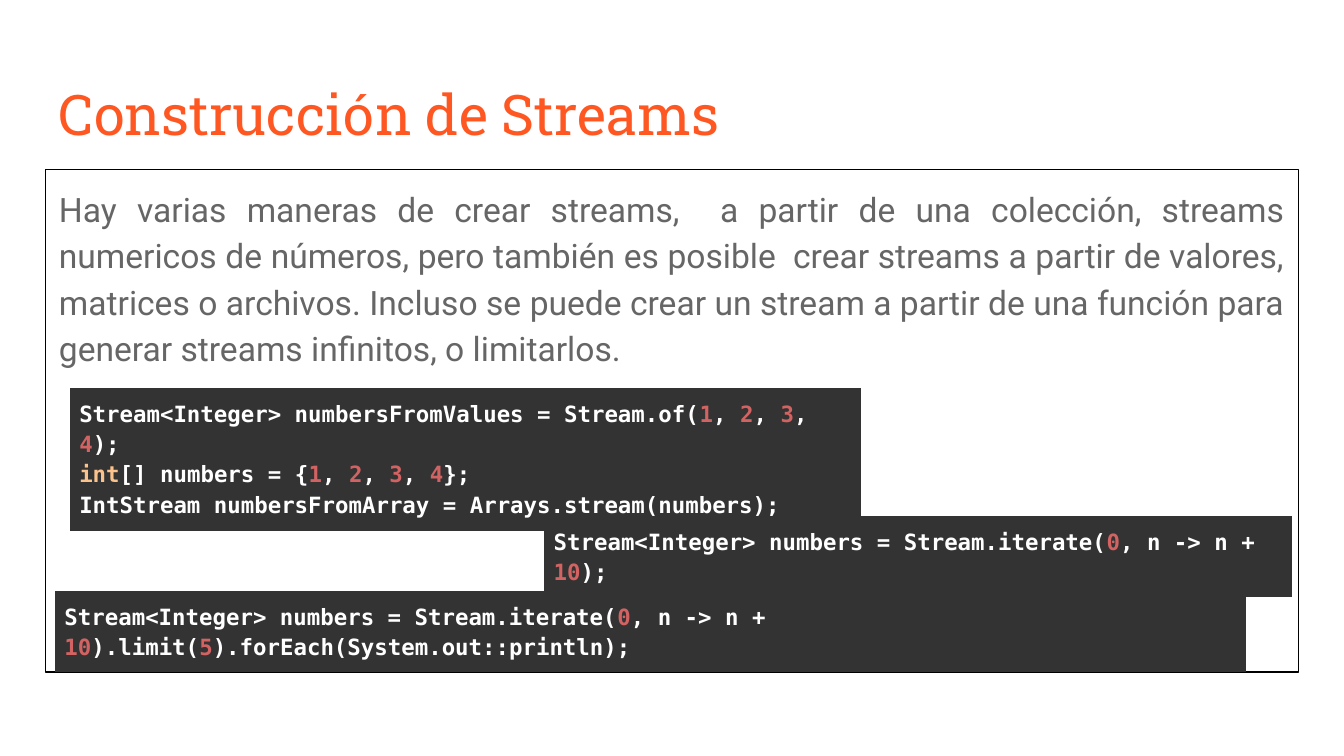
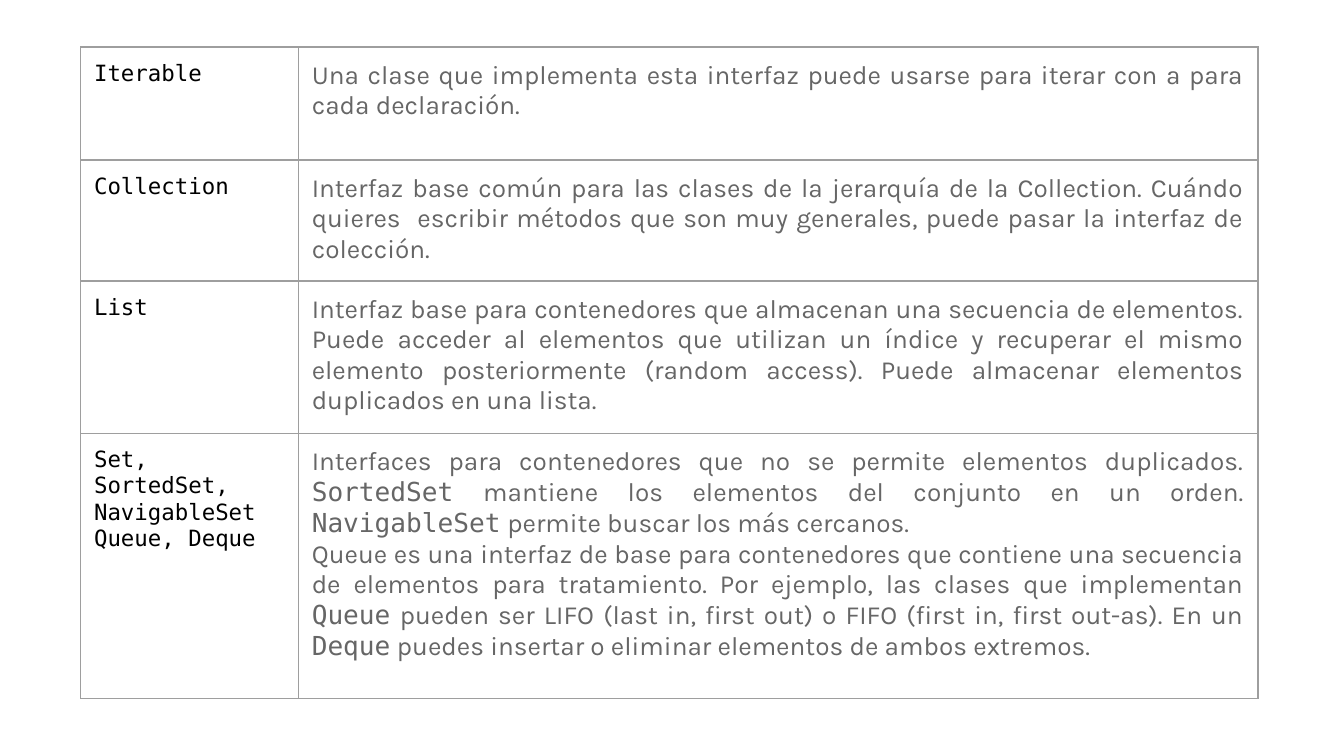
"""Build two slides on Java streams and collection interfaces."""
from dataclasses import dataclass
from itertools import groupby

from lxml import etree
from pptx import Presentation
from pptx import util as u
from pptx.dml.color import RGBColor
from pptx.enum import shapes, text
from pptx.oxml import ns

ORANGE, GRAY, BLACK, WHITE = "FF5722", "666666", "000000", "FFFFFF"
CODE_FILL, NUMBER, KEYWORD, GRID = "333333", "D36363", "FCC28C", "9E9E9E"
SERIF, SANS, MONO, READING = "Roboto Slab", "Roboto", "DejaVu Sans Mono", "Karla"
KEYWORDS = {"int"}
TABLE_FRAME = u.Inches(3.28)


@dataclass(frozen=True)
class Style:
    """Typeface, size, colour and paragraph settings."""
    font: str
    size: float
    color: str
    bold: bool = False
    justify: bool = False
    spacing: float | None = None


@dataclass(frozen=True)
class CellStyle:
    """Border, margin and fill of a table cell."""
    border: str
    margin: float
    fill: str = ""
    clear_border: bool = False


@dataclass(frozen=True)
class CodeBlock:
    """A dark single-cell panel of code."""
    left: float
    top: float
    width: float
    height: float
    lines: tuple[str, ...]


@dataclass(frozen=True)
class Entry:
    """An interface row, with code terms between backticks."""
    height: float
    names: tuple[str, ...]
    description: tuple[str, ...]


TITLE = Style(SERIF, 30, ORANGE)
BODY = Style(SANS, 18, GRAY, justify=True, spacing=1.15)
CODE = Style(MONO, 12, WHITE, bold=True, spacing=1.15)
NAME = Style(MONO, 12, BLACK)
DESCRIPTION = Style(READING, 14, GRAY, justify=True)
CODE_CELL = CellStyle(BLACK, 0.07, CODE_FILL, clear_border=True)
GRID_CELL = CellStyle(GRID, 0.1)

INTRO = (
    "Hay varias maneras de crear streams,  a partir de una colección, streams numericos "
    "de números, pero también es posible  crear streams a partir de valores, matrices o "
    "archivos. Incluso se puede crear un stream a partir de una función para generar "
    "streams infinitos, o limitarlos."
)

CODE_BLOCKS = (
    CodeBlock(0.52, 2.89, 5.89, 0.85, (
        "Stream<Integer> numbersFromValues = Stream.of(1, 2, 3, 4); ",
        "int[] numbers = {1, 2, 3, 4}; ",
        "IntStream numbersFromArray = Arrays.stream(numbers);",
    )),
    CodeBlock(4.05, 3.84, 5.56, 0.37, (
        "Stream<Integer> numbers = Stream.iterate(0, n -> n + 10);",
    )),
    CodeBlock(0.41, 4.4, 8.86, 0.47, (
        "Stream<Integer> numbers = Stream.iterate(0, n -> n + 10)"
        ".limit(5).forEach(System.out::println);",
    )),
)

ENTRIES = (
    Entry(0.84, ("Iterable",), (
        "Una clase que implementa esta interfaz puede usarse para iterar con a para "
        "cada declaración.",
    )),
    Entry(0.86, ("Collection",), (
        "Interfaz base común para las clases de la jerarquía de la Collection. Cuándo "
        "quieres  escribir métodos que son muy generales, puede pasar la interfaz de "
        "colección.",
    )),
    Entry(1.08, ("List",), (
        "Interfaz base para contenedores que almacenan una secuencia de elementos. "
        "Puede acceder al elementos que utilizan un índice y recuperar el mismo elemento "
        "posteriormente (random access). Puede almacenar elementos duplicados en una lista.",
    )),
    Entry(1.97, ("Set, SortedSet,", "NavigableSet", "Queue, Deque"), (
        "Interfaces para contenedores que no se permite elementos duplicados. `SortedSet` "
        "mantiene los elementos del conjunto en un orden. `NavigableSet` permite buscar "
        "los más cercanos.",
        "Queue es una interfaz de base para contenedores que contiene una secuencia de "
        "elementos para tratamiento. Por ejemplo, las clases que implementan `Queue` "
        "pueden ser LIFO (last in, first out) o FIFO (first in, first out-as). En un "
        "`Deque` puedes insertar o eliminar elementos de ambos extremos.",
    )),
)


def rgb(color: str) -> RGBColor:
    """Convert a hex string to a colour."""
    return RGBColor.from_string(color)


def add_color(parent, tag: str, color: str, clear: bool = False):
    """Append a colour-bearing element, optionally transparent, and return it."""
    element = etree.SubElement(parent, ns.qn(tag))
    value = etree.SubElement(element, ns.qn("a:srgbClr"), val=color)
    if clear:
        etree.SubElement(value, ns.qn("a:alpha"), val="0")
    return element


def format_paragraph(paragraph, style: Style) -> None:
    """Apply alignment and line spacing."""
    paragraph.alignment = text.PP_ALIGN.JUSTIFY if style.justify else text.PP_ALIGN.LEFT
    if style.spacing:
        paragraph.line_spacing = style.spacing


def add_run(paragraph, words: str, style: Style, color: str = "", font: str = ""):
    """Append a formatted run."""
    run = paragraph.add_run()
    run.text = words
    run.font.name = font or style.font
    run.font.size = u.Pt(style.size)
    run.font.bold = style.bold
    run.font.color.rgb = rgb(color or style.color)
    return run


def set_margins(target, margin: float) -> None:
    """Give a cell or text frame equal margins."""
    target.margin_left = target.margin_right = u.Inches(margin)
    target.margin_top = target.margin_bottom = u.Inches(margin)


def write_paragraphs(text_frame, paragraphs: tuple[str, ...], style: Style) -> None:
    """Write paragraphs, setting backticked terms in the code font."""
    for index, content in enumerate(paragraphs):
        paragraph = text_frame.add_paragraph() if index else text_frame.paragraphs[0]
        format_paragraph(paragraph, style)
        for part, words in enumerate(content.split("`")):
            if words:
                add_run(paragraph, words, style, font=MONO if part % 2 else "")


def token_color(token: str) -> str:
    """Choose the syntax colour of a token."""
    if token.isdigit():
        return NUMBER
    return KEYWORD if token in KEYWORDS else WHITE


def write_code(paragraph, lines: tuple[str, ...]) -> None:
    """Write highlighted code lines in one paragraph."""
    format_paragraph(paragraph, CODE)
    for index, line in enumerate(lines):
        if index:
            paragraph.add_line_break()
        tokens = ["".join(group) for _, group in groupby(line, key=str.isalnum)]
        for color, group in groupby(tokens, key=token_color):
            run = add_run(paragraph, "".join(group), CODE, color)
            properties = run.font._element
            highlight = add_color(properties, "a:highlight", CODE_FILL)
            properties.find(ns.qn("a:solidFill")).addnext(highlight)


def format_cell(cell, style: CellStyle) -> None:
    """Set the margins, borders and fill of a cell."""
    set_margins(cell, style.margin)
    properties = cell._tc.get_or_add_tcPr()
    for side in "LRTB":
        line = etree.SubElement(properties, ns.qn(f"a:ln{side}"), w=str(u.Pt(0.75)))
        add_color(line, "a:solidFill", style.border, style.clear_border)
    if style.fill:
        cell.fill.solid()
        cell.fill.fore_color.rgb = rgb(style.fill)
    else:
        cell.fill.background()


def add_table(slide, left: float, top: float, widths: list[float], heights: list[float]):
    """Add an unbanded table with the given columns and rows."""
    frame = slide.shapes.add_table(
        len(heights), len(widths), u.Inches(left), u.Inches(top), TABLE_FRAME, TABLE_FRAME
    )
    table = frame.table
    table.first_row = table.horz_banding = False
    for column, width in zip(table.columns, widths):
        column.width = u.Inches(width)
    for row, height in zip(table.rows, heights):
        row.height = u.Inches(height)
    frame.width = frame.height = TABLE_FRAME
    return table


def add_panel(slide, top: float, height: float, content: str, style: Style, line: str = "") -> None:
    """Add a full-width text panel, outlined when a line colour is given."""
    box = u.Inches(0.34), u.Inches(top), u.Inches(9.32), u.Inches(height)
    if line:
        shape = slide.shapes.add_shape(shapes.MSO_SHAPE.RECTANGLE, *box)
        shape.shadow.inherit = False
        shape.fill.background()
        shape.line.color.rgb = rgb(line)
        shape.line.width = u.Pt(0.75)
    else:
        shape = slide.shapes.add_textbox(*box)
    text_frame = shape.text_frame
    text_frame.word_wrap = True
    text_frame.vertical_anchor = text.MSO_ANCHOR.TOP
    set_margins(text_frame, 0.1)
    write_paragraphs(text_frame, (content,), style)


def add_code_block(slide, block: CodeBlock) -> None:
    """Add a dark code panel."""
    cell = add_table(slide, block.left, block.top, [block.width], [block.height]).cell(0, 0)
    format_cell(cell, CODE_CELL)
    write_code(cell.text_frame.paragraphs[0], block.lines)


def add_blank_slide(presentation):
    """Add a white slide on the blank layout."""
    slide = presentation.slides.add_slide(presentation.slide_layouts[6])
    slide.background.fill.solid()
    slide.background.fill.fore_color.rgb = rgb(WHITE)
    return slide


def build_streams_slide(presentation) -> None:
    """Build the slide on constructing streams."""
    slide = add_blank_slide(presentation)
    add_panel(slide, 0.49, 0.63, "Construcción de Streams", TITLE)
    add_panel(slide, 1.26, 3.74, INTRO, BODY, BLACK)
    for block in CODE_BLOCKS:
        add_code_block(slide, block)


def build_interfaces_slide(presentation) -> None:
    """Build the table of collection interfaces."""
    slide = add_blank_slide(presentation)
    table = add_table(slide, 0.6, 0.35, [1.62, 7.14], [entry.height for entry in ENTRIES])
    for row, entry in enumerate(ENTRIES):
        columns = (entry.names, NAME), (entry.description, DESCRIPTION)
        for column, (paragraphs, style) in enumerate(columns):
            cell = table.cell(row, column)
            format_cell(cell, GRID_CELL)
            write_paragraphs(cell.text_frame, paragraphs, style)


def main() -> None:
    """Create and save the presentation."""
    presentation = Presentation()
    presentation.slide_width = u.Inches(10)
    presentation.slide_height = u.Inches(10) * 9 // 16
    build_streams_slide(presentation)
    build_interfaces_slide(presentation)
    presentation.save("out.pptx")


if __name__ == "__main__":
    main()
